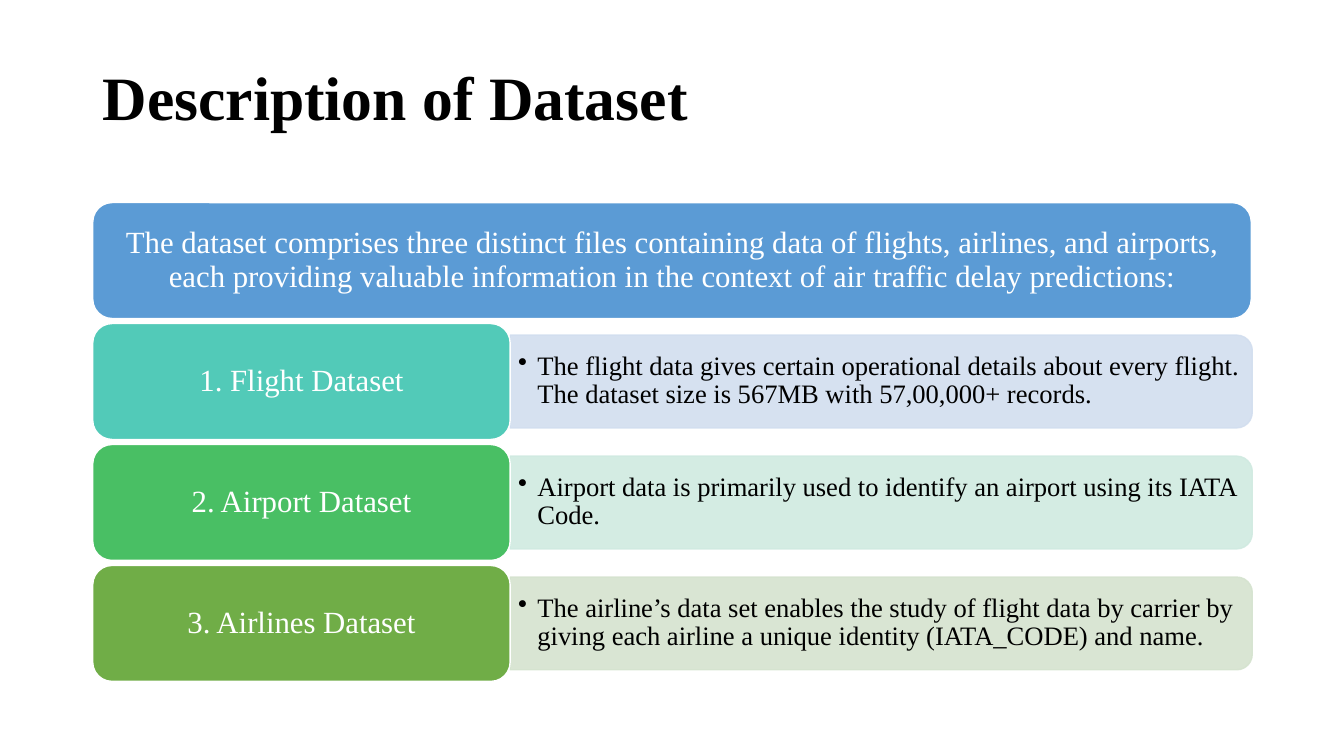
from lxml import etree
from pptx import Presentation
from pptx import util as u
from pptx.dml.color import RGBColor
from pptx.enum import shapes, text
from pptx.oxml import ns

WHITE = RGBColor(0xFF, 0xFF, 0xFF)
BLACK = RGBColor(0x00, 0x00, 0x00)
BLUE = RGBColor(0x5B, 0x9B, 0xD5)
TEAL = RGBColor(0x52, 0xCA, 0xB8)
GREEN = RGBColor(0x49, 0xBF, 0x64)
OLIVE = RGBColor(0x70, 0xAD, 0x47)
PALE_BLUE = RGBColor(0xD2, 0xDE, 0xEF)
PALE_TEAL = RGBColor(0xD0, 0xEA, 0xE1)
PALE_OLIVE = RGBColor(0xD5, 0xE3, 0xCF)

# Grid in inches: one banner row, then rows of label and detail columns
LEFT, TOP, PITCH, ROW_H = 0.92, 2.01, 1.2, 1.15
FULL_W, LABEL_W = 11.49, 4.14
DETAIL_X, DETAIL_W, DETAIL_H = LEFT + LABEL_W, 7.36, 0.92
PAD = 0.06

LABEL = {"size": u.Pt(22), "name": "Times New Roman"}
DETAIL = {"size": u.Pt(19), "name": "Times New Roman"}
TITLE = {"size": u.Pt(44), "name": "Times New Roman", "bold": True}

prs = Presentation()
prs.slide_width, prs.slide_height = u.Inches(13.33), u.Inches(7.5)
s = prs.slides.add_slide(prs.slide_layouts[6])


def add_block(kind, x, y, w, h, fill, line):
    sp = s.shapes.add_shape(kind, *map(u.Inches, (x, y, w, h)))
    sp.shadow.inherit = False
    sp.fill.solid()
    sp.fill.fore_color.rgb = fill
    sp.line.color.rgb = line
    sp.line.width = u.Pt(1)
    return sp


def add_text(words, x, y, w, h, font, color, inset, align):
    tf = s.shapes.add_textbox(*map(u.Inches, (x, y, w, h))).text_frame
    tf.word_wrap = True
    tf.vertical_anchor = text.MSO_ANCHOR.MIDDLE
    tf.margin_left = tf.margin_right = u.Inches(inset)
    tf.margin_top = tf.margin_bottom = u.Inches(inset / 2)
    p = tf.paragraphs[0]
    p.alignment = align
    p.line_spacing = 0.9
    r = p.add_run()
    r.text = words
    for key, value in font.items():
        setattr(r.font, key, value)
    r.font.color.rgb = color
    return p


# Title
add_text("Description of Dataset", LEFT, 0.62, 11.5, 0.76,
         TITLE, BLACK, 0.1, text.PP_ALIGN.LEFT)

# Rows: label, label fill, detail, detail fill; the banner has no detail
rows = [
    ("The dataset comprises three distinct files containing data of flights, "
     "airlines, and airports, each providing valuable information in the "
     "context of air traffic delay predictions:", BLUE, None, None),
    ("1. Flight Dataset", TEAL,
     "The flight data gives certain operational details about every flight. "
     "The dataset size is 567MB with 57,00,000+ records.", PALE_BLUE),
    ("2. Airport Dataset", GREEN,
     "Airport data is primarily used to identify an airport using its IATA "
     "Code.", PALE_TEAL),
    ("3. Airlines Dataset", OLIVE,
     "The airline’s data set enables the study of flight data by carrier by "
     "giving each airline a unique identity (IATA_CODE) and name.", PALE_OLIVE),
]

for i, (label, fill, detail, pale) in enumerate(rows):
    y = TOP + i * PITCH

    # Detail bar: an upright shape turned so its round corners face right
    if detail:
        mid_x, mid_y = DETAIL_X + DETAIL_W / 2, y + ROW_H / 2
        sp = add_block(shapes.MSO_SHAPE.ROUND_2_SAME_RECTANGLE,
                       mid_x - DETAIL_H / 2, mid_y - DETAIL_W / 2,
                       DETAIL_H, DETAIL_W, pale, pale)
        sp.rotation = 90
        for clr in sp.element.spPr.iter(ns.qn("a:srgbClr")):
            etree.SubElement(clr, ns.qn("a:alpha"), val="90000")
        p = add_text(detail, DETAIL_X, mid_y - 0.42, 7.32, 0.83,
                     DETAIL, BLACK, 0.08, text.PP_ALIGN.LEFT)
        p.level = 1
        pPr = p._p.get_or_add_pPr()
        pPr.set("marL", str(u.Inches(0.19)))
        pPr.set("indent", str(-u.Inches(0.19)))
        etree.SubElement(pPr, ns.qn("a:buChar"), char="•")

    # Label block
    w = LABEL_W if detail else FULL_W
    add_block(shapes.MSO_SHAPE.ROUNDED_RECTANGLE, LEFT, y, w, ROW_H, fill, WHITE)
    add_text(label, LEFT + PAD, y + PAD, w - 2 * PAD, ROW_H - 2 * PAD,
             LABEL, WHITE, 0.09, text.PP_ALIGN.CENTER)

prs.save("out.pptx")
